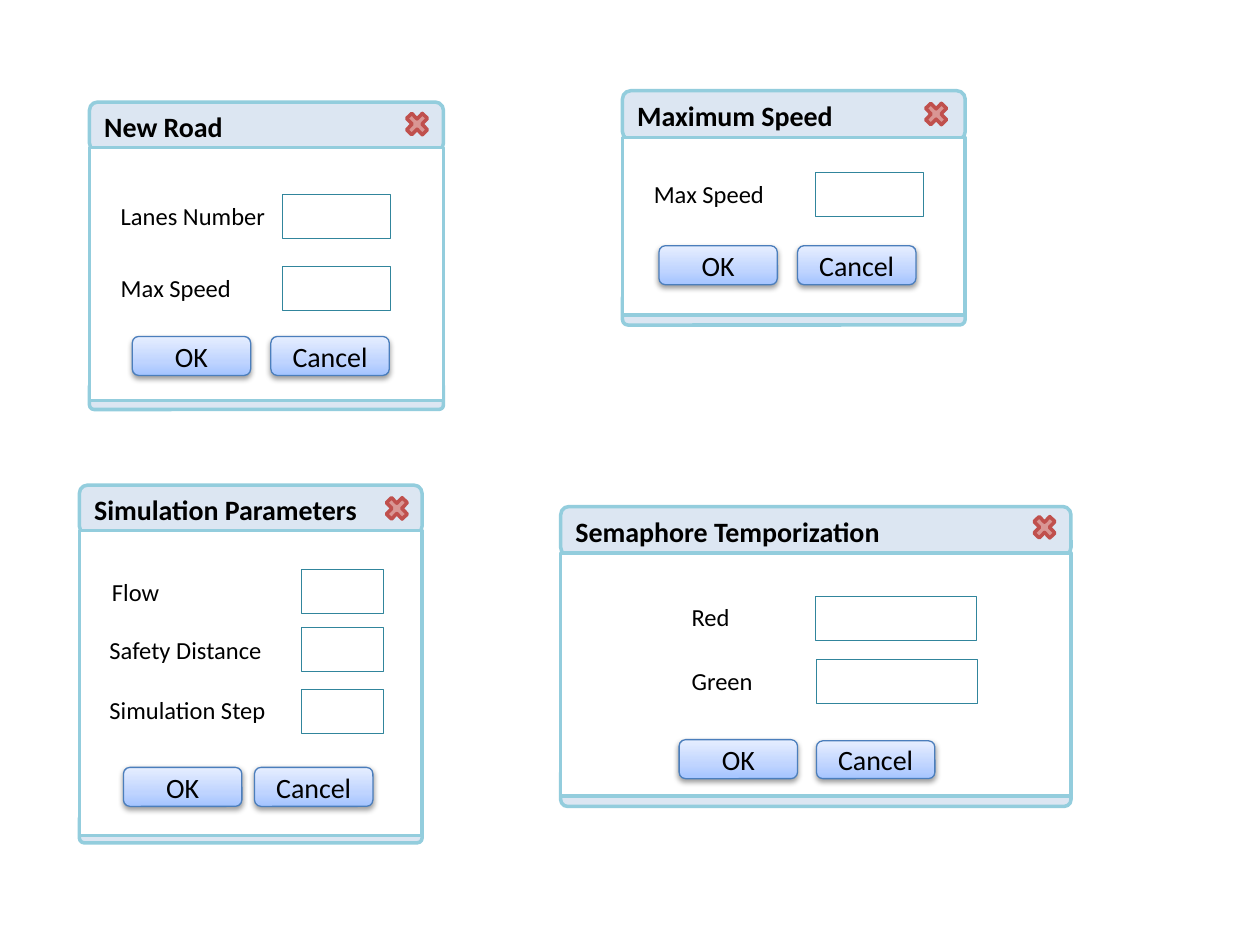
from lxml import etree
from pptx import Presentation, util as u
from pptx.dml.color import RGBColor
from pptx.enum import shapes, text
from pptx.oxml.ns import qn

COLORS = {
    "bar": "DCE6F2", "frame": "93CDDD", "white": "FFFFFF", "black": "000000",
    "close": "D99694", "close_line": "C0504D", "field": "31859C",
    "button": "4B7EBC",
}
BUTTON_STOPS = [(0, "A4C4FF"), (35, "BFD4FF"), (100, "E6EEFF")]
SHAPE = shapes.MSO_SHAPE


class Mockup:
    """Draws dialog window mockups on one slide in a shared style."""

    def __init__(self, slide, font="Calibri"):
        self.slide = slide
        self.font = font
        self.shapes = slide.shapes

    def rgb(self, name):
        return RGBColor.from_string(COLORS[name])

    def shape(self, kind, box, fill, line, width):
        sp = self.shapes.add_shape(kind, *map(u.Inches, box))
        sp.shadow.inherit = False
        if fill:
            sp.fill.solid()
            sp.fill.fore_color.rgb = self.rgb(fill)
        sp.line.color.rgb = self.rgb(line)
        sp.line.width = u.Pt(width)
        return sp

    def caption(self, sp, content, size, bold=False, align=text.PP_ALIGN.LEFT):
        tf = sp.text_frame
        tf.text = content
        p = tf.paragraphs[0]
        p.alignment = align
        r = p.runs[0]
        r.font.name = self.font
        r.font.size = u.Pt(size)
        r.font.bold = bold
        r.font.color.rgb = self.rgb("black")
        return tf

    def button(self, content, x, y, h=0.31):
        sp = self.shape(SHAPE.ROUNDED_RECTANGLE, (x, y, 0.94, h),
                        None, "button", 0.75)
        sp.fill.gradient()
        sp.fill.gradient_angle = 90
        stops = sp._element.spPr.find(".//" + qn("a:gsLst"))
        for gs in list(stops):
            stops.remove(gs)
        for pos, color in BUTTON_STOPS:
            gs = etree.SubElement(stops, qn("a:gs"), pos=str(pos * 1000))
            etree.SubElement(gs, qn("a:srgbClr"), val=color)
        effects = sp._element.spPr.find(qn("a:effectLst"))
        shadow = etree.SubElement(effects, qn("a:outerShdw"), blurRad="40000",
                                  dist="20000", dir="5400000", rotWithShape="0")
        color = etree.SubElement(shadow, qn("a:srgbClr"), val=COLORS["black"])
        etree.SubElement(color, qn("a:alpha"), val="38000")
        tf = self.caption(sp, content, 16, align=text.PP_ALIGN.CENTER)
        tf.vertical_anchor = text.MSO_ANCHOR.MIDDLE

    def label(self, content, x, y, w, wrap=False):
        sp = self.shapes.add_textbox(*map(u.Inches, (x, y, w, 0.34)))
        tf = self.caption(sp, content, 14)
        tf.word_wrap = wrap
        tf.auto_size = text.MSO_AUTO_SIZE.SHAPE_TO_FIT_TEXT

    def field(self, x, y, w):
        self.shape(SHAPE.RECTANGLE, (x, y, w, 0.35), "white", "field", 0.25)

    def window(self, title, box, footer, body, close, labels, fields, buttons):
        self.shapes = self.slide.shapes.add_group_shape().shapes
        x, y, w, h = box
        body_y, body_h = body
        self.shape(SHAPE.ROUNDED_RECTANGLE, (x, y + h - footer, w, footer),
                   "bar", "frame", 2)
        bar = self.shape(SHAPE.ROUNDED_RECTANGLE, (x, y, w, 0.39),
                         "bar", "frame", 2)
        tf = self.caption(bar, title, 16, bold=True)
        tf.vertical_anchor = text.MSO_ANCHOR.MIDDLE
        self.shape(SHAPE.RECTANGLE, (x, body_y, w, body_h),
                   "white", "frame", 2)
        self.shape(SHAPE.MATH_MULTIPLY, (*close, 0.24, 0.25),
                   "close", "close_line", 2)
        for item in labels:
            self.label(*item)
        for item in fields:
            self.field(*item)
        for content, spot in zip(("OK", "Cancel"), buttons):
            self.button(content, *spot)


WINDOWS = [
    dict(title="Simulation Parameters", box=(0.63, 3.85, 2.72, 2.84),
         footer=0.23, body=(4.21, 2.42), close=(3.03, 3.91),
         labels=[("Flow", 0.79, 4.53, 0.58),
                 ("Safety Distance", 0.77, 4.99, 1.42),
                 ("Simulation Step", 0.77, 5.47, 1.45)],
         fields=[(2.39, y, 0.65) for y in (4.52, 4.98, 5.47)],
         buttons=[(0.98, 6.09), (2.02, 6.09)]),
    dict(title="Maximum Speed", box=(4.94, 0.72, 2.72, 1.86),
         footer=0.26, body=(1.09, 1.41), close=(7.31, 0.78),
         labels=[("Max Speed", 5.09, 1.37, 1.08)],
         fields=[(6.47, 1.37, 0.86)],
         buttons=[(5.23, 1.95), (6.33, 1.95)]),
    dict(title="Semaphore Temporization", box=(4.45, 4.02, 4.05, 2.38),
         footer=0.32, body=(4.39, 1.93), close=(8.17, 4.06),
         labels=[("Red", 5.39, 4.73, 0.51), ("Green", 5.39, 5.24, 0.69)],
         fields=[(6.47, 4.73, 1.28), (6.48, 5.23, 1.28)],
         buttons=[(5.39, 5.87), (6.48, 5.88, 0.3)]),
    dict(title="New Road", box=(0.71, 0.81, 2.81, 2.44),
         footer=0.22, body=(1.17, 2.01), close=(3.19, 0.86),
         labels=[("Lanes Number", 0.86, 1.55, 2.97, True),
                 ("Max Speed", 0.86, 2.12, 1.08)],
         fields=[(2.24, y, 0.86) for y in (1.54, 2.11)],
         buttons=[(1.05, 2.67), (2.15, 2.67)]),
]

prs = Presentation()
prs.slide_width, prs.slide_height = u.Inches(10), u.Inches(7.5)
s = prs.slides.add_slide(prs.slide_layouts[6])
mockup = Mockup(s)
for dialog in WINDOWS:
    mockup.window(**dialog)
prs.save("out.pptx")
